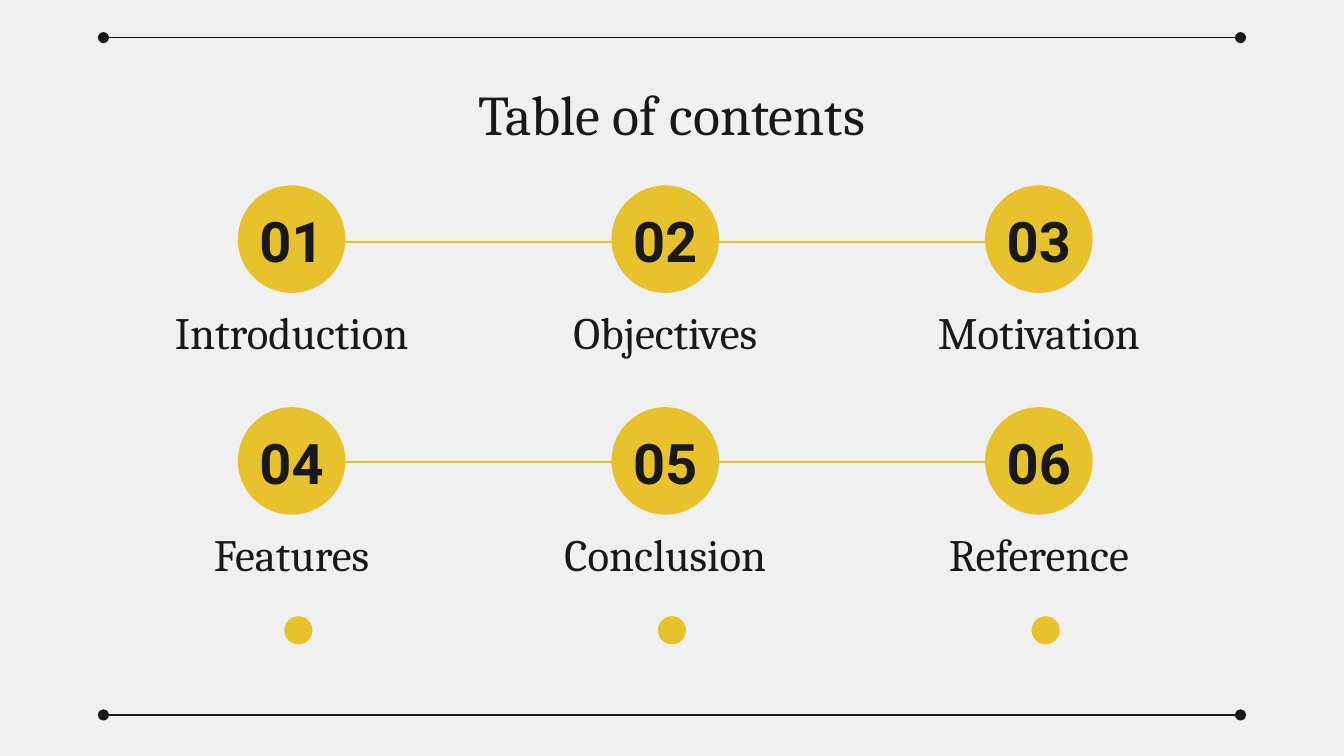
"""Build a table of contents slide with six numbered topics on a grid."""
from lxml import etree
from pptx import Presentation, util as u
from pptx.dml.color import RGBColor
from pptx.enum import shapes, text
from pptx.oxml.ns import qn

PAPER = RGBColor(0xF0, 0xF0, 0xF0)
INK = RGBColor(0x19, 0x19, 0x19)
GOLD = RGBColor(0xE7, 0xC2, 0x2C)

WIDTH = 10
HEIGHT = WIDTH * 9 / 16
MIDDLE_COLUMN, COLUMN_STEP = 4.95, 2.78
FIRST_ROW, ROW_STEP = 1.78, 1.65
DISC, BEAD = 0.8, 0.21
TOPICS = [
    ["Introduction", "Objectives", "Motivation"],
    ["Features", "Conclusion", "Reference"],
]
LINK_STARTS = [(2.33, 3.44), (2.22, 1.8)]
LINK_LENGTH = 5.46


def column_center(column):
    return MIDDLE_COLUMN + (column - 1) * COLUMN_STEP


def row_center(row):
    return FIRST_ROW + row * ROW_STEP


def add_rule(slide, left, y, length, color, weight):
    rule = slide.shapes.add_connector(
        shapes.MSO_CONNECTOR.STRAIGHT,
        u.Inches(left), u.Inches(y), u.Inches(left + length), u.Inches(y))
    rule.line.color.rgb = color
    rule.line.width = u.Pt(weight)
    outline = rule._element.spPr.find(qn("a:ln"))
    for end in ("a:headEnd", "a:tailEnd"):
        etree.SubElement(outline, qn(end), type="oval")
    etree.SubElement(rule._element.spPr, qn("a:effectLst"))


def add_disc(slide, center, middle, size):
    disc = slide.shapes.add_shape(
        shapes.MSO_SHAPE.OVAL, u.Inches(center - size / 2),
        u.Inches(middle - size / 2), u.Inches(size), u.Inches(size))
    disc.shadow.inherit = False
    disc.fill.solid()
    disc.fill.fore_color.rgb = GOLD
    disc.line.fill.background()


def add_label(slide, words, center, top, width, height, size,
              font="Cambria", bold=False, anchor=text.MSO_ANCHOR.TOP):
    label = slide.shapes.add_textbox(
        u.Inches(center - width / 2), u.Inches(top),
        u.Inches(width), u.Inches(height))
    frame = label.text_frame
    frame.text = words
    frame.word_wrap = True
    frame.vertical_anchor = anchor
    frame.margin_left = frame.margin_right = u.Inches(0.1)
    frame.margin_top = frame.margin_bottom = u.Inches(0.1)
    line = frame.paragraphs[0]
    line.alignment = text.PP_ALIGN.CENTER
    style = line.runs[0].font
    style.name, style.size, style.bold = font, u.Pt(size), bold
    style.color.rgb = INK


def add_topic(slide, number, topic, center, middle):
    add_disc(slide, center, middle, DISC)
    add_label(slide, f"{number:02d}", center, middle - 0.24, DISC, 0.49, 30,
              "Roboto", True, text.MSO_ANCHOR.MIDDLE)
    add_label(slide, topic, center, middle + 0.41, 2.38, 0.58, 24,
              anchor=text.MSO_ANCHOR.BOTTOM)


def main():
    deck = Presentation()
    deck.slide_width, deck.slide_height = u.Inches(WIDTH), u.Inches(HEIGHT)
    slide = deck.slides.add_slide(deck.slide_layouts[6])
    slide.background.fill.solid()
    slide.background.fill.fore_color.rgb = PAPER

    for left, y in LINK_STARTS:
        add_rule(slide, left, y, LINK_LENGTH, GOLD, 1)
    for y in (0.28, 5.32):
        add_rule(slide, 0.77, y, WIDTH - 2 * 0.77, INK, 0.75)

    add_label(slide, "Table of contents", WIDTH / 2, 0.49, 8.43, 0.63, 30)
    for row, topics in enumerate(TOPICS):
        for column, topic in enumerate(topics):
            add_topic(slide, row * len(topics) + column + 1, topic,
                      column_center(column), row_center(row))
    for column in range(len(TOPICS[0])):
        add_disc(slide, column_center(column) + 0.05, 4.69, BEAD)

    deck.save("out.pptx")


main()
